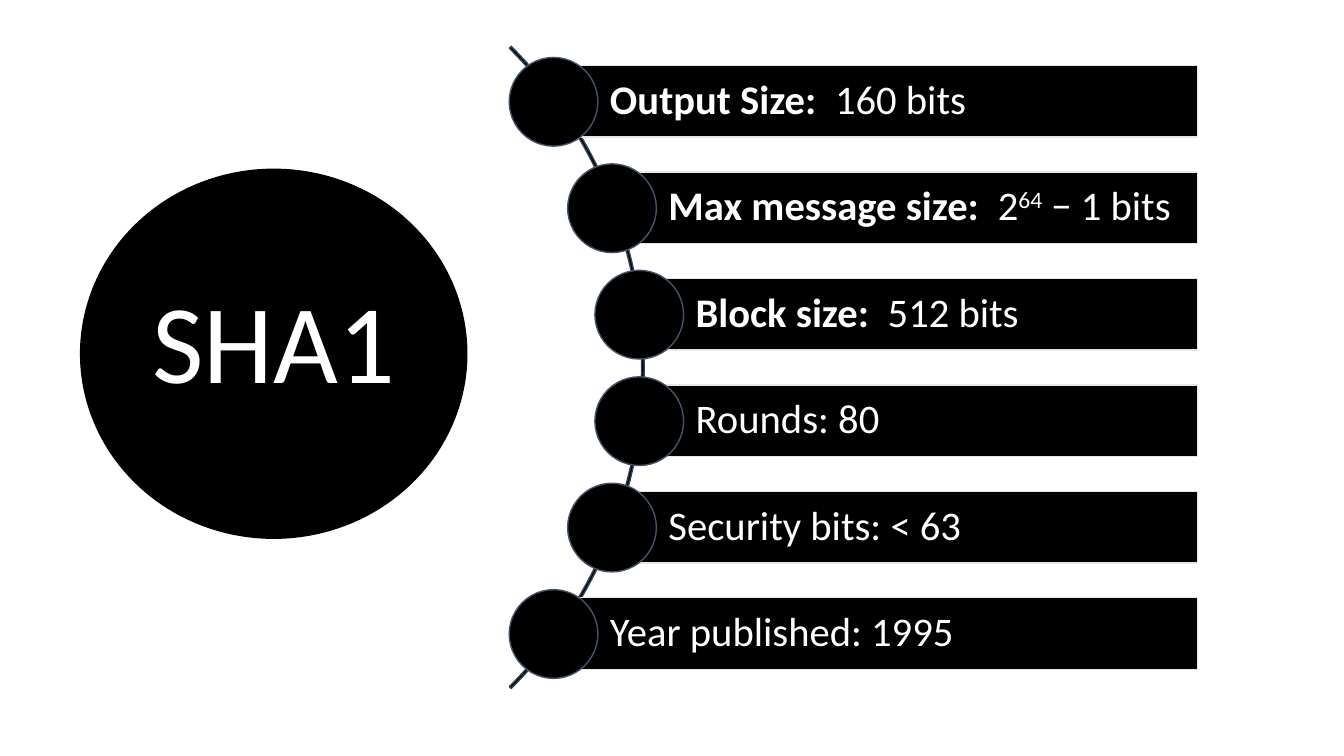
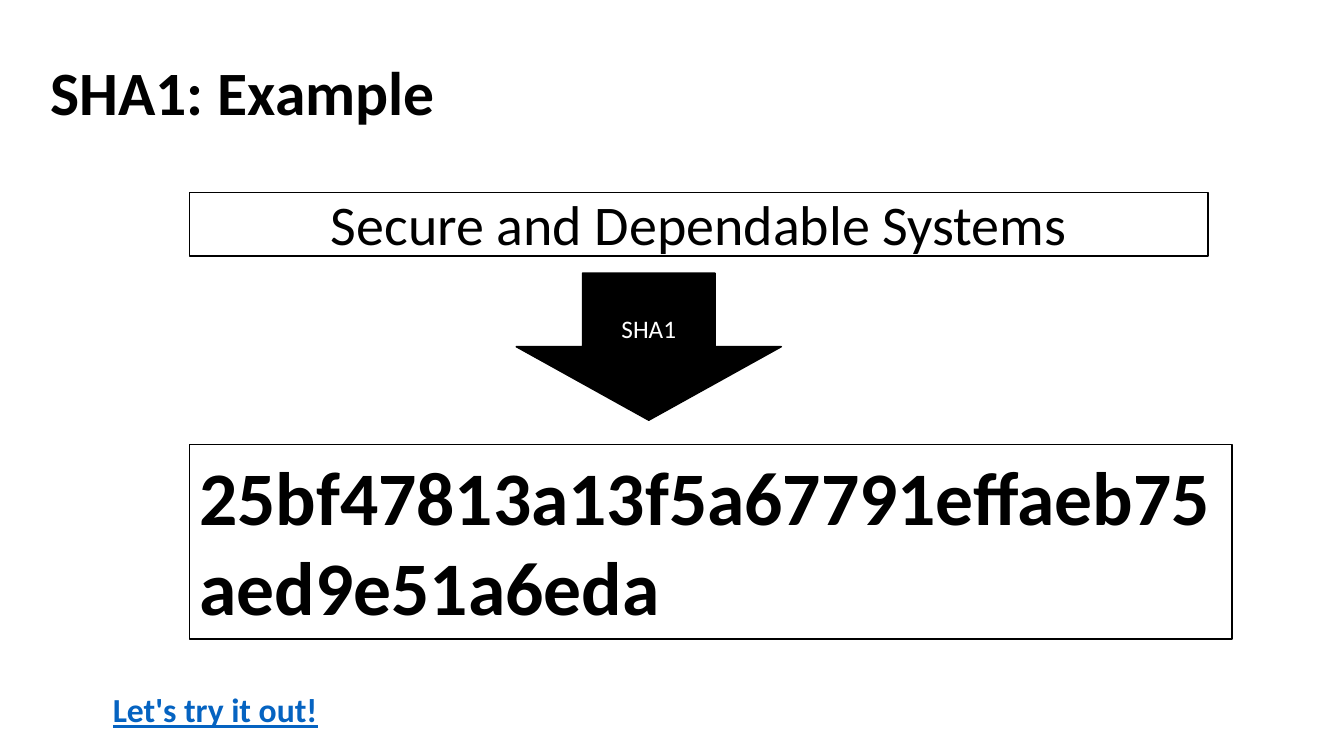
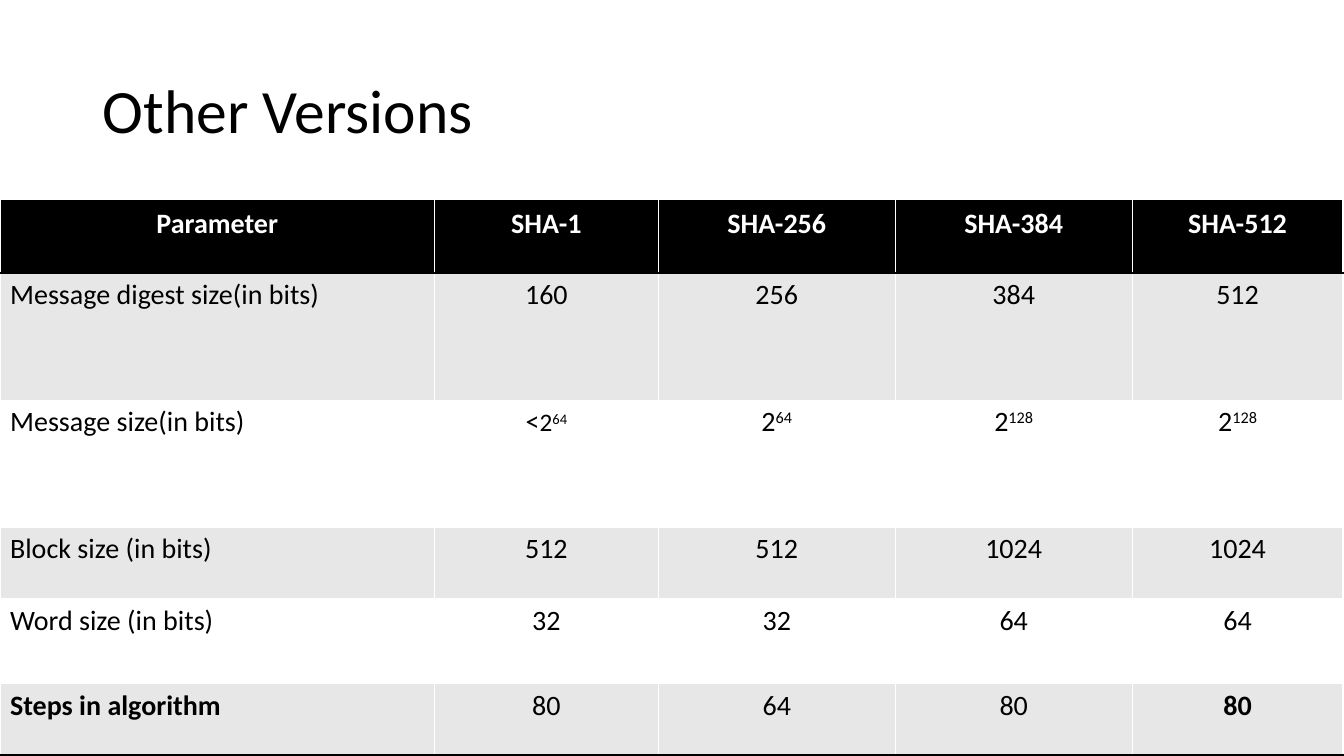
import pptx
import pptx.util
import pptx.dml.color
import pptx.enum.shapes
import pptx.enum.text
import pptx.oxml
import pptx.oxml.ns

Inches = pptx.util.Inches
Pt = pptx.util.Pt
Kind = pptx.enum.shapes.MSO_SHAPE
Align = pptx.enum.text.PP_ALIGN
Anchor = pptx.enum.text.MSO_ANCHOR

# Shared colours and text styles
hues = {"black": "000000", "white": "FFFFFF", "band": "E7E7E7", "edge": "E7E6E6",
        "slate": "44546A", "arc": "364355", "link": "0563C1"}
rgb = {name: pptx.dml.color.RGBColor.from_string(code) for name, code in hues.items()}
bold = {"bold": True}
raised = {"raised": True}
title_style = {"size": Pt(44)}
title_size = {"width": Inches(11.5), "height": Inches(1.45)}


def write(frame, runs, hue, style, align=Align.LEFT, anchor=Anchor.MIDDLE, spacing=1.0):
    """Fill a text frame with (text, format) runs that share a base style."""
    frame.word_wrap = True
    frame.vertical_anchor = anchor
    para = frame.paragraphs[0]
    para.alignment = align
    para.line_spacing = spacing
    for text, extra in runs:
        run = para.add_run()
        run.text = text
        run.font.color.rgb = rgb[hue]
        for key, value in {"name": "Calibri", **style, **extra}.items():
            if key == "raised":
                run.font._element.set("baseline", "30000")
            else:
                setattr(run.font, key, value)


def draw(slide, kind, box, fill="black", line="black"):
    """Add a flat preset shape with a thin outline."""
    shape = slide.shapes.add_shape(kind, *[Inches(n) for n in box])
    shape.shadow.inherit = False
    shape.fill.solid()
    shape.fill.fore_color.rgb = rgb[fill]
    shape.line.color.rgb = rgb[line]
    shape.line.width = Pt(1)
    return shape


deck = pptx.Presentation()
deck.slide_width = Inches(13.33)
deck.slide_height = Inches(7.5)
title_only, blank = deck.slide_layouts[5], deck.slide_layouts[6]

# Slide 1: facts along an arc
facts = deck.slides.add_slide(blank)
arc = draw(facts, Kind.BLOCK_ARC, (-2.62, -0.86, 9.01, 9.01), line="arc")
for spot, value in enumerate((189, 27, 0.3 / 100)):
    arc.adjustments[spot] = value

rows = [
    (5.05, [("Output Size:  ", bold), ("160 bits", {})]),
    (5.63, [("Max message size:  ", bold), ("2", {}), ("64", raised),
            ("\u00a0\u2212 1 bits", {})]),
    (5.9, [("Block size:  ", bold), ("512 bits", {})]),
    (5.9, [("Rounds: 80", {})]),
    (5.63, [("Security bits: < 63", {})]),
    (5.05, [("Year published: 1995", {})]),
]
disc, right = 0.88, 11.88
for spot, (left, runs) in enumerate(rows):
    top = 0.57 + 5.28 * spot / 5
    start = left + disc / 2
    bar = draw(facts, Kind.RECTANGLE, (start, top + 0.08, right - start, 0.71), line="edge")
    bar.text_frame.margin_left = Inches(0.56)
    bar.text_frame.margin_right = Inches(0.08)
    write(bar.text_frame, runs, "white", {"size": Pt(29)}, spacing=0.9)
    draw(facts, Kind.OVAL, (left, top, disc, disc), line="slate")

hub = draw(facts, Kind.OVAL, (0.8, 1.68, 3.83, 3.66))
hub.text_frame.margin_bottom = Inches(0.35)
write(hub.text_frame, [("SHA1", {})], "white", {"size": Pt(80)}, Align.CENTER)

# Slides 2 and 3: titles
pages = []
for text, left, top, extra in (("SHA1: Example", 0.4, 0.22, bold),
                               ("Other Versions", 0.92, 0.4, {})):
    page = deck.slides.add_slide(title_only)
    title = page.shapes.title
    place = {"left": Inches(left), "top": Inches(top), **title_size}
    for key, value in place.items():
        setattr(title, key, value)
    write(title.text_frame, [(text, extra)], "black", title_style, spacing=0.9)
    pages.append(page)
sample, versions = pages

# Slide 2: message, arrow and digest
plain = draw(sample, Kind.RECTANGLE, (1.88, 1.91, 10.1, 0.63), "white")
write(plain.text_frame, [("Secure and Dependable Systems", {})], "black",
      {"size": Pt(40)}, Align.CENTER, Anchor.TOP, 0.9)
arrow = draw(sample, Kind.DOWN_ARROW, (5.12, 2.71, 2.63, 1.46))
write(arrow.text_frame, [("SHA1", {})], "white", {"size": Pt(18)}, Align.CENTER)
digest = draw(sample, Kind.RECTANGLE, (1.88, 4.41, 10.34, 1.93), "white")
write(digest.text_frame, [("25bf47813a13f5a67791effaeb75aed9e51a6eda", bold)], "black",
      {"size": Pt(54)}, anchor=Anchor.TOP)
prompt = sample.shapes.add_textbox(Inches(1.02), Inches(6.79), Inches(3.22), Inches(0.6))
write(prompt.text_frame, [("Let's try it out!", bold)], "link",
      {"size": Pt(24), "underline": True}, anchor=Anchor.TOP)

# Slide 3: table of versions, with ^ before a raised part
data = [
    ["Parameter", "SHA-1", "SHA-256", "SHA-384", "SHA-512"],
    ["Message digest size(in bits)", "160", "256", "384", "512"],
    ["Message size(in bits)", "<2^64", "2^64", "2^128", "2^128"],
    ["Block size (in bits)", "512", "512", "1024", "1024"],
    ["Word size (in bits)", "32", "32", "64", "64"],
    ["Steps in algorithm", "80", "64", "80", "80"],
]
widths = [4.31, 2.22, 2.35, 2.35, 2.09]
heights = [0.71, 1.26, 1.26, 0.71, 0.84, 0.71]
last = len(data) - 1
strong = {(last, 0), (last, 4)}
grid = versions.shapes.add_table(len(data), len(widths), 0, Inches(2),
                                 Inches(13.33), Inches(5.5)).table
for col, width in zip(grid.columns, widths):
    col.width = Inches(width)
for row, height in zip(grid.rows, heights):
    row.height = Inches(height)

for r, line in enumerate(data):
    for c, text in enumerate(line):
        cell = grid.cell(r, c)
        base, _, power = text.partition("^")
        runs = [(base, {})]
        if base == "<2":
            small = {"size": Pt(18)}
            runs = [("<", {}), ("2", small), (power, {**small, **raised})]
        elif power:
            runs.append((power, raised))
        style = {"size": Pt(20), "bold": r == 0 or (r, c) in strong}
        align = Align.LEFT if r and not c else Align.CENTER
        write(cell.text_frame, runs, "black" if r else "white", style, align)
        cell.vertical_anchor = Anchor.TOP

        # Rules above and below the header and below the last row
        props = cell._tc.get_or_add_tcPr()
        for side in {0: ("lnT", "lnB"), last: ("lnB",)}.get(r, ()):
            props.append(pptx.oxml.parse_xml(
                f'<a:{side} {pptx.oxml.ns.nsdecls("a")} w="25400"><a:solidFill>'
                f'<a:srgbClr val="{hues["black"]}"/></a:solidFill></a:{side}>'))
        cell.fill.solid()
        cell.fill.fore_color.rgb = rgb["black" if r == 0 else "band" if r % 2 else "white"]

deck.save("out.pptx")
